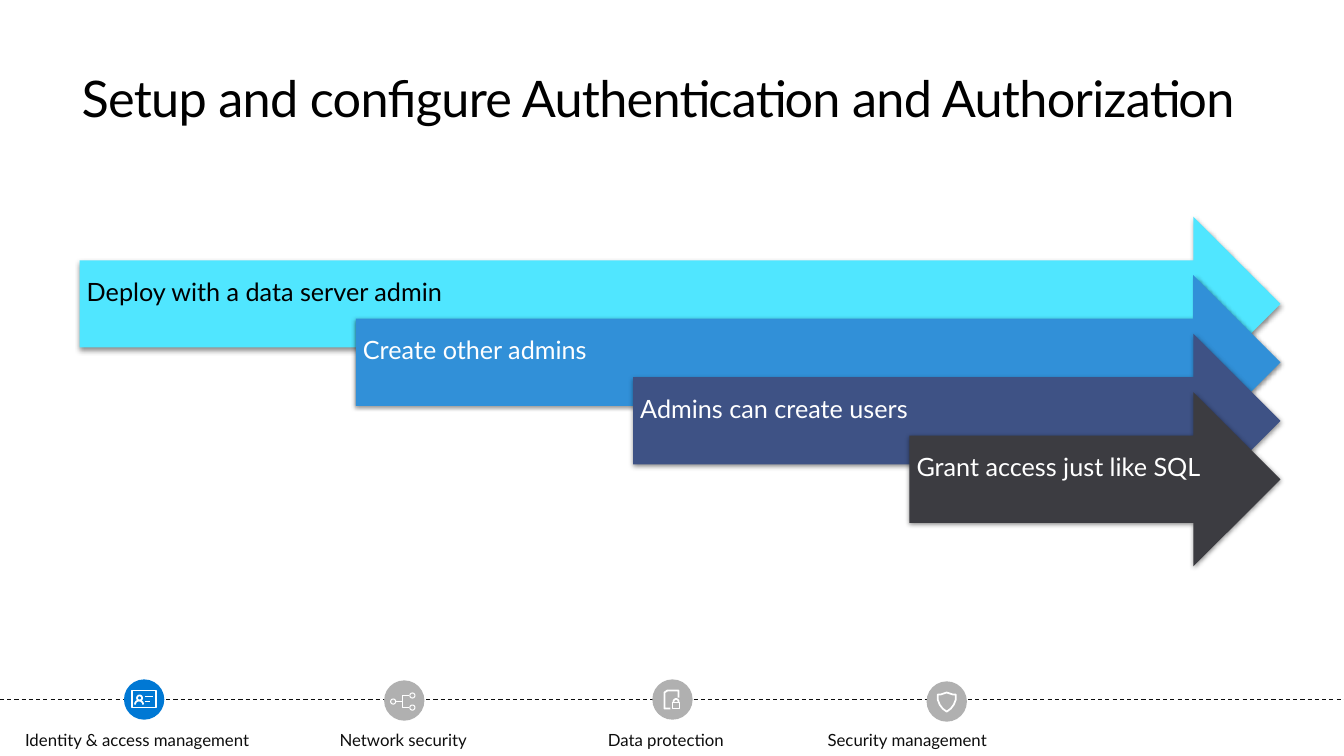
import math

import lxml.etree
import pptx
import pptx.dml.color
import pptx.enum.dml
import pptx.enum.shapes
import pptx.enum.text
import pptx.oxml.ns
import pptx.util

PX = 9144  # EMU per px, 100 px to the inch
FONT = "Lato"
INK, WHITE, BLACK, GREY = "0D0D0D", "FFFFFF", "000000", "B0B0B0"


def arc(cx, cy, r, start=0, end=360):
    """Points along an arc, in degrees clockwise from the right."""
    angles = [math.radians(start + (end - start) * i / 24) for i in range(25)]
    return [(cx + r * math.cos(a), cy + r * math.sin(a)) for a in angles]


TITLE = "Setup and configure Authentication and Authorization"
STEPS = [
    ("Deploy with a data server admin", "50E6FF", BLACK),
    ("Create other admins", "3190D8", WHITE),
    ("Admins can create users", "3E5285", WHITE),
    ("Grant access just like SQL", "3C3C41", WHITE),
]
SHIELD = [[(948, 694), (946, 699), (943, 703), (939, 706), (935, 703), (932, 699),
           (930, 694), (930, 689), (933, 689), (936, 688), (939, 687), (942, 688),
           (945, 689), (948, 689), (948, 694)]]
ID_CARD = [
    [(131, 685), (155, 685), (155, 702), (131, 702), (131, 685)],
    [(144, 691), (152, 691)],
    [(144, 696), (149, 696)],
    arc(138.5, 692.5, 2.5),
    arc(138, 699, 4, 180, 360),
]
LOCKED_PAGE = [
    [(665, 703), (659, 703), (659, 687), (662, 685), (673, 685), (673, 692)],
    [(667, 697), (674, 697), (674, 703), (667, 703), (667, 697)],
    [(668, 697)] + arc(670.5, 696, 2.5, 180, 360) + [(673, 697)],
]
NETWORK = [
    arc(390, 696, 2.5),
    arc(409, 690, 2.5),
    arc(409, 702, 2.5),
    [(393, 696), (399.5, 696)],
    [(406, 690), (399.5, 690), (399.5, 702), (406, 702)],
]
# label, label left, label width, disc left, disc top, disc colour, icon, line width
TOPICS = [
    ("Identity & access management", 15, 255, 123, 674, "0078D4", ID_CARD, 1.25),
    ("Network security", 327, 150, 381, 675, GREY, NETWORK, 0.75),
    ("Data protection", 593, 150, 647, 674, GREY, LOCKED_PAGE, 1.25),
    ("Security management", 811, 256, 919, 676, GREY, SHIELD, 1.25),
]
DISC, LABEL_TOP, LABEL_H, RAIL_Y = 40, 721, 28, 694
ARROW_LEFT, ARROW_TOP, ARROW_RIGHT, ARROW_H = 79, 215, 1270, 173
STEP_X, STEP_Y, BAND_INSET, BAND_H = 274.4, 58, 43, 87

prs = pptx.Presentation()
prs.slide_width, prs.slide_height = 1333 * PX, 750 * PX
s = prs.slides.add_slide(prs.slide_layouts[6])


def emu(*lengths):
    return [round(v * PX) for v in lengths]


def rgb(value):
    return pptx.dml.color.RGBColor.from_string(value)


def add_text(text, box, size, color, insets=(10, 5, 10, 5), anchor="TOP", spacing=0.9):
    tf = s.shapes.add_textbox(*emu(*box)).text_frame
    left, top, right, bottom = emu(*insets)
    frame_format = {
        "word_wrap": True,
        "vertical_anchor": pptx.enum.text.MSO_ANCHOR[anchor],
        "margin_left": left, "margin_top": top,
        "margin_right": right, "margin_bottom": bottom,
    }
    for name, value in frame_format.items():
        setattr(tf, name, value)
    p = tf.paragraphs[0]
    p.line_spacing = spacing
    r = p.add_run()
    r.text = text
    for name, value in {"name": FONT, "size": pptx.util.Pt(size)}.items():
        setattr(r.font, name, value)
    r.font.color.rgb = rgb(color)
    return r


def add_preset(kind, box, fill):
    sp = s.shapes.add_shape(pptx.enum.shapes.MSO_SHAPE[kind], *emu(*box))
    sp.shadow.inherit = False
    sp.fill.solid()
    sp.fill.fore_color.rgb = rgb(fill)
    sp.line.fill.background()
    return sp


def add_icon(contours, width):
    """Draw every contour as one white outline without fill."""
    paths = [[emu(*point) for point in contour] for contour in contours]
    builder = s.shapes.build_freeform(*paths[0][0])
    for i, path_points in enumerate(paths):
        if i:
            builder.move_to(*path_points[0])
        builder.add_line_segments(path_points[1:], close=path_points[0] == path_points[-1])
    sp = builder.convert_to_shape()
    sp.shadow.inherit = False
    sp.fill.background()
    sp.line.color.rgb = rgb(WHITE)
    sp.line.width = pptx.util.Pt(width)


def add_soft_shadow(sp):
    qn = pptx.oxml.ns.qn
    effects = sp._element.spPr.find(qn("a:effectLst"))
    shadow = lxml.etree.SubElement(effects, qn("a:outerShdw"), blurRad="44450",
                                   dist="13970", dir="5400000", rotWithShape="0")
    color = lxml.etree.SubElement(shadow, qn("a:srgbClr"), val=BLACK)
    lxml.etree.SubElement(color, qn("a:alpha"), val="45000")


rail = s.shapes.add_connector(pptx.enum.shapes.MSO_CONNECTOR.STRAIGHT,
                              *emu(0, RAIL_Y, 1333, RAIL_Y))
rail.line.color.rgb = rgb(INK)
rail.line.width = pptx.util.Pt(0.75)
rail.line.dash_style = pptx.enum.dml.MSO_LINE.DASH
lxml.etree.SubElement(rail._element.spPr, pptx.oxml.ns.qn("a:effectLst"))

for label, label_x, label_w, disc_x, disc_y, color, icon, width in TOPICS:
    add_text(label, (label_x, LABEL_TOP, label_w, LABEL_H), 12, INK)
    add_preset("OVAL", (disc_x, disc_y, DISC, DISC), color)
    add_icon(icon, width)

title = add_text(TITLE, (81, 67, 1205, 61), 36, BLACK, insets=(0, 0, 0, 0), spacing=1.0)
title.font._element.set("spc", "-50")

for i, (text, fill, color) in enumerate(STEPS):
    x, y = round(ARROW_LEFT + i * STEP_X), ARROW_TOP + i * STEP_Y
    w = ARROW_RIGHT - x
    add_soft_shadow(add_preset("RIGHT_ARROW", (x, y, w, ARROW_H), fill))
    add_text(text, (x, y + BAND_INSET, w - BAND_INSET, BAND_H), 18, color,
             insets=(7, 7, 28, 28), anchor="MIDDLE")

prs.save("out.pptx")
